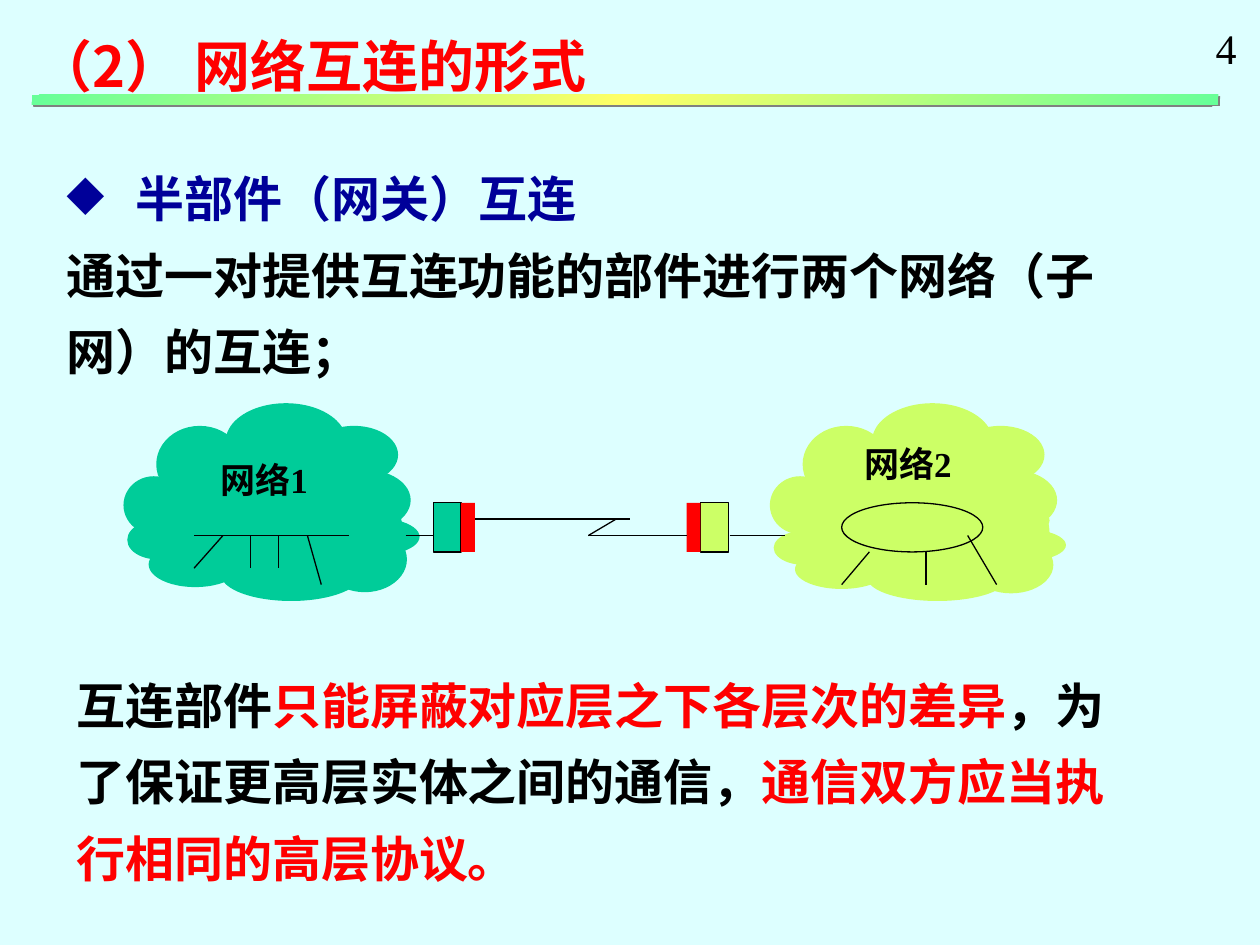
import pptx
import pptx.util
import pptx.dml.color
import pptx.enum.shapes
import pptx.enum.text
import pptx.oxml
import pptx.oxml.ns
import copy
import lxml.etree

Inches = pptx.util.Inches
RGBColor = pptx.dml.color.RGBColor
MSO_SHAPE = pptx.enum.shapes.MSO_SHAPE
qn = pptx.oxml.ns.qn

BACKGROUND = RGBColor(0xDD, 0xFF, 0xFF)
RED = RGBColor(0xFF, 0x00, 0x00)
NAVY = RGBColor(0x00, 0x00, 0x99)
BLACK = RGBColor(0x00, 0x00, 0x00)
GREEN = RGBColor(0x00, 0xCC, 0x99)
LIME = RGBColor(0xCC, 0xFF, 0x66)
MINT = RGBColor(0x66, 0xFF, 0x99)
YELLOW = RGBColor(0xFF, 0xFF, 0x66)
CJK_FONT = "Noto Sans CJK SC"
LATIN_FONT = "Times New Roman"


def add_text(shapes, box, paragraphs, size=28, font=CJK_FONT, bold=True,
             spacing=None, wrap=True, bullet=None):
    """Add a text box; each paragraph is a list of (text, colour) runs.

    A bullet character, if given, marks the first paragraph.
    """
    sp = shapes.add_textbox(*map(Inches, box))
    tf = sp.text_frame
    tf.word_wrap = wrap
    tf.auto_size = pptx.enum.text.MSO_AUTO_SIZE.SHAPE_TO_FIT_TEXT
    for i, runs in enumerate(paragraphs):
        p = tf.paragraphs[0] if i == 0 else tf.add_paragraph()
        if spacing:
            p.line_spacing = spacing
        if bullet and i == 0:
            pPr = p._p.get_or_add_pPr()
            pPr.set("marL", str(Inches(0.55)))
            pPr.set("indent", str(-Inches(0.55)))
            lxml.etree.SubElement(pPr, qn("a:buChar"), char=bullet)
        for text, color in runs:
            r = p.add_run()
            r.text = text
            r.font.size = pptx.util.Pt(size)
            r.font.bold = bold
            r.font.name = font
            r.font.color.rgb = color
            ea = lxml.etree.SubElement(r._r.get_or_add_rPr(), qn("a:ea"))
            ea.set("typeface", CJK_FONT)
    return sp


def add_shape(shapes, kind, box, fill=None, line=None):
    sp = shapes.add_shape(kind, *map(Inches, box))
    sp.shadow.inherit = False
    if fill is None:
        sp.fill.background()
    else:
        sp.fill.solid()
        sp.fill.fore_color.rgb = fill
    if line is None:
        sp.line.fill.background()
    else:
        sp.line.color.rgb = line
        sp.line.width = pptx.util.Pt(0.75)
    return sp


prs = pptx.Presentation()
prs.slide_width, prs.slide_height = Inches(10), Inches(7.5)
s = prs.slides.add_slide(prs.slide_layouts[6])
s.background.fill.solid()
s.background.fill.fore_color.rgb = BACKGROUND

# Title and body text
add_text(s.shapes, (0.19, 0.2, 4.78, 0.64), [[("（2） 网络互连的形式", RED)]],
         size=32, wrap=False)
add_text(s.shapes, (0.43, 1.15, 8.9, 1.92), [
    [("半部件（网关）互连", NAVY)],
    [("通过一对提供互连功能的部件进行两个网络（子网）的互连；", BLACK)],
], spacing=1.3, bullet="◆")
add_text(s.shapes, (0.51, 5.17, 8.53, 1.92), [[
    ("互连部件", BLACK),
    ("只能屏蔽对应层之下各层次的差异", RED),
    ("，为了保证更高层实体之间的通信，", BLACK),
    ("通信双方应当执行相同的高层协议。", RED),
]], spacing=1.3)

# Clouds: the lower puffs are squeezed towards the cloud base
CLOUD_BASE = 4.77
LOWER_PUFFS = [
    (1.82, 3.77, 1, 0.38), (1.27, 3.87, 0.71, 0.4), (1.01, 4.13, 0.48, 0.31),
    (1.18, 4.3, 0.74, 0.36), (1.75, 4.34, 1.12, 0.43),
    (2.49, 3.89, 0.71, 0.29), (2.62, 4.11, 0.71, 0.3),
    (2.56, 4.18, 0.67, 0.52), (1.44, 4.01, 1.48, 0.53),
]
UPPER_PUFFS = [
    (1.79, 3.2, 0.96, 0.61), (1.24, 3.38, 0.69, 0.61),
    (0.98, 3.78, 0.48, 0.46), (1.15, 4.02, 0.74, 0.51),
    (1.69, 4.1, 1.15, 0.66), (2.46, 3.38, 0.7, 0.46),
    (2.56, 3.73, 0.7, 0.48), (2.49, 3.84, 0.71, 0.8),
    (1.4, 3.56, 1.48, 0.8),
]
for color, shift, squeeze in [(GREEN, 0, 1), (LIME, 5.13, 0.87)]:
    cloud = s.shapes.add_group_shape().shapes
    for puffs, scale in [(LOWER_PUFFS, squeeze), (UPPER_PUFFS, 1)]:
        for x, y, w, h in puffs:
            top = CLOUD_BASE - (CLOUD_BASE - y) * scale
            add_shape(cloud, MSO_SHAPE.OVAL, (x + shift, top, w, h * scale), color)

add_text(s.shapes, (1.65, 3.59, 1.31, 0.43), [[("网络1", BLACK)]],
         size=20, font=LATIN_FONT)
label = add_text(s.shapes, (6.76, 3.46, 0.96, 0.43), [[("网络2", BLACK)]],
                 size=20, font=LATIN_FONT, wrap=False)
label.fill.solid()
label.fill.fore_color.rgb = LIME
add_shape(s.shapes, MSO_SHAPE.OVAL, (6.68, 3.99, 1.12, 0.39), line=BLACK)

# Half gateways: a network side and a red link side
for network_x, link_x, color in [(3.44, 3.66, GREEN), (5.56, 5.45, LIME)]:
    add_shape(s.shapes, MSO_SHAPE.RECTANGLE, (network_x, 3.99, 0.22, 0.39), color, BLACK)
    add_shape(s.shapes, MSO_SHAPE.RECTANGLE, (link_x, 3.99, 0.11, 0.39), RED)

LINES = [
    # bus and its stations in network 1
    (1.54, 4.25, 2.77, 4.25), (1.77, 4.25, 1.54, 4.51),
    (1.99, 4.25, 1.99, 4.51), (2.21, 4.25, 2.21, 4.51),
    (2.44, 4.25, 2.55, 4.64),
    # stations on the ring in network 2
    (6.9, 4.38, 6.68, 4.64), (7.35, 4.38, 7.35, 4.64),
    (7.68, 4.25, 7.91, 4.64),
    # clouds to gateways
    (3.22, 4.25, 3.44, 4.25), (5.79, 4.25, 6.23, 4.25),
    # link between the gateways
    (3.77, 4.12, 5, 4.12), (4.89, 4.12, 4.67, 4.25), (4.67, 4.25, 5.45, 4.25),
]
for ends in LINES:
    line = s.shapes.add_connector(pptx.enum.shapes.MSO_CONNECTOR.STRAIGHT,
                                  *map(Inches, ends))
    line.line.color.rgb = BLACK
    line.line.width = pptx.util.Pt(0.75)
    lxml.etree.SubElement(line._element.spPr, qn("a:effectLst"))

# Page number and title rule
add_text(s.shapes, (9.55, 0.13, 0.36, 0.5), [[("4", BLACK)]],
         size=24, font=LATIN_FONT, bold=False, wrap=False)
rule = add_shape(s.shapes, MSO_SHAPE.RECTANGLE, (0.25, 0.75, 9.42, 0.08))
rule.fill.gradient()
rule.fill.gradient_angle = 315
gsLst = rule._element.spPr.find(".//" + qn("a:gsLst"))
gsLst.append(copy.deepcopy(gsLst[0]))
for stop, position, color in zip(rule.fill.gradient_stops, (0, 0.5, 1),
                                 (MINT, YELLOW, MINT)):
    stop.position = position
    stop.color.rgb = color
shadow = lxml.etree.SubElement(rule._element.spPr.find(qn("a:effectLst")),
                               qn("a:outerShdw"), dist=str(pptx.util.Pt(1.4)),
                               dir="2700000", algn="ctr", rotWithShape="0")
lxml.etree.SubElement(shadow, qn("a:srgbClr"), val="808080")

prs.save("out.pptx")
